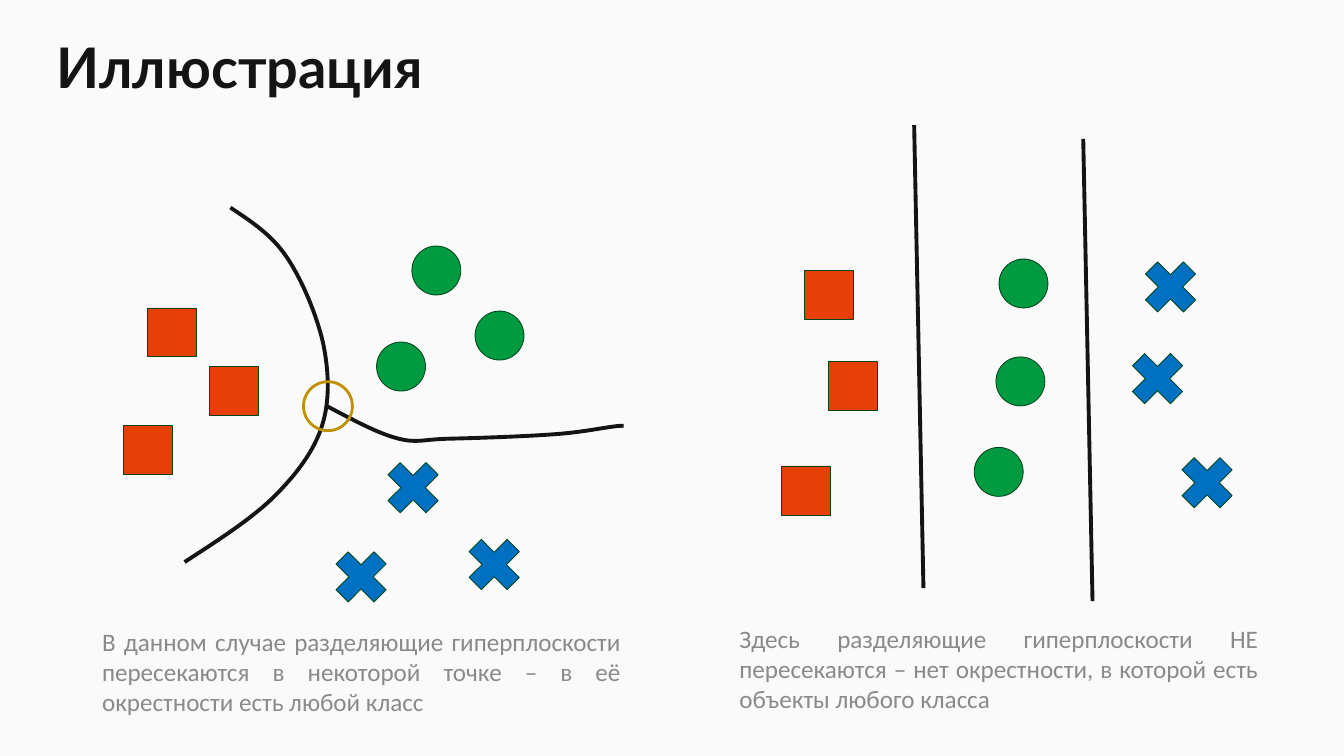
import pptx
import pptx.util
import pptx.dml.color
import pptx.enum.shapes
import pptx.enum.text
import pptx.oxml
import pptx.oxml.ns

RGB = pptx.dml.color.RGBColor
SHAPE = pptx.enum.shapes.MSO_SHAPE
ALIGN = pptx.enum.text.PP_ALIGN
ANCHOR = pptx.enum.text.MSO_ANCHOR

PAPER = RGB(0xFA, 0xFA, 0xFA)
INK = RGB(0x14, 0x14, 0x14)
GREY = RGB(0x8A, 0x8A, 0x8A)
RED = RGB(0xE6, 0x3F, 0x07)
GREEN = RGB(0x00, 0x9B, 0x40)
BLUE = RGB(0x00, 0x70, 0xC0)
OUTLINE = RGB(0x00, 0x44, 0x1C)
GOLD = RGB(0xBF, 0x90, 0x00)

EMU_PER_PX = 9144
SLIDE_WIDTH, SLIDE_HEIGHT = 2170, 1220
MARKER_SIZE, CROSS_SIZE = 79, 118
CAPTION_TOP, CAPTION_HEIGHT = 801, 158

LEFT_BOX = (155, 205, 857, 959)
LEFT_SQUARES = [(83, 292), (44, 481), (183, 387)]
LEFT_CIRCLES = [(510, 192), (612, 297), (453, 347)]
LEFT_CROSSES = [(453, 523), (584, 647), (369, 667)]
# Each curve is a start point, then two control points and an end per segment.
MAIN_BOUNDARY = [
    (217, 130),
    (250, 152), (283, 173), (308, 210),
    (333, 247), (357, 305), (367, 350),
    (376, 395), (378, 441), (365, 482),
    (352, 523), (324, 560), (287, 597),
    (250, 633), (197, 667), (143, 702),
]
SIDE_BOUNDARY = [
    (372, 450),
    (412, 471), (452, 493), (485, 502),
    (518, 511), (526, 504), (570, 503),
    (614, 502), (703, 499), (750, 495),
    (797, 491), (833, 482), (852, 482),
]
CROSSING = (335, 411)
LEFT_CAPTION = ("В данном случае разделяющие гиперплоскости пересекаются "
                "в некоторой точке – в её окрестности есть любой класс")

RIGHT_BOX = (1184, 200, 857, 959)
RIGHT_SQUARES = [(115, 236), (154, 384), (78, 552)]
RIGHT_CIRCLES = [(429, 218), (424, 376), (389, 522)]
RIGHT_CROSSES = [(647, 204), (626, 352), (706, 520)]
STRAIGHT_BOUNDARIES = [((292, 2), (307, 749)), ((565, 24), (580, 770))]
RIGHT_CAPTION = ("Здесь разделяющие гиперплоскости НЕ пересекаются – "
                 "нет окрестности, в которой есть объекты любого класса")


def px(*lengths):
    return [pptx.util.Emu(length * EMU_PER_PX) for length in lengths]


def shifted(points, box):
    return [(box[0] + x, box[1] + y) for x, y in points]


def write(frame, text, *, font, size, color, bold=False, align=None,
          line_spacing=None):
    frame.word_wrap = True
    paragraph = frame.paragraphs[0]
    paragraph.alignment = align
    if line_spacing:
        paragraph.line_spacing = pptx.util.Pt(line_spacing)
    run = paragraph.add_run()
    run.text = text
    run.font.name = font
    run.font.size = pptx.util.Pt(size)
    run.font.bold = bold
    run.font.color.rgb = color


def stroke(line, color, width):
    line.color.rgb = color
    line.width = pptx.util.Pt(width)


def add_marker(shapes, kind, position, size, fill=None, line=OUTLINE, width=1):
    marker = shapes.add_shape(kind, *px(*position, size, size))
    marker.shadow.inherit = False
    if fill is None:
        marker.fill.background()
    else:
        marker.fill.solid()
        marker.fill.fore_color.rgb = fill
    stroke(marker.line, line, width)


def add_classes(shapes, box, squares, circles, crosses):
    for kind, size, color, positions in (
            (SHAPE.RECTANGLE, MARKER_SIZE, RED, squares),
            (SHAPE.OVAL, MARKER_SIZE, GREEN, circles),
            (SHAPE.MATH_MULTIPLY, CROSS_SIZE, BLUE, crosses)):
        for position in shifted(positions, box):
            add_marker(shapes, kind, position, size, color)


def add_curve(shapes, points):
    """Draw an open outline and turn each three line segments into one Bézier."""
    builder = shapes.build_freeform(*points[0], scale=EMU_PER_PX)
    builder.add_line_segments(points[1:], close=False)
    curve = builder.convert_to_shape()
    curve.shadow.inherit = False
    curve.fill.background()
    stroke(curve.line, INK, 4.5)
    segments = list(curve._element.iter(pptx.oxml.ns.qn("a:lnTo")))
    outline = segments[0].getparent()
    for start in range(0, len(segments), 3):
        bezier = pptx.oxml.parse_xml(
            f"<a:cubicBezTo {pptx.oxml.ns.nsdecls('a')}/>")
        for segment in segments[start:start + 3]:
            bezier.append(segment[0])
            outline.remove(segment)
        outline.append(bezier)


def add_straight_boundary(shapes, start, end):
    boundary = shapes.add_connector(
        pptx.enum.shapes.MSO_CONNECTOR.STRAIGHT, *px(*start, *end))
    stroke(boundary.line, INK, 4.5)
    boundary._element.spPr.append(pptx.oxml.parse_xml(
        f"<a:effectLst {pptx.oxml.ns.nsdecls('a')}/>"))


def add_caption(slide, box, text):
    left, top, width, _ = box
    caption = slide.shapes.add_textbox(
        *px(left, top + CAPTION_TOP, width, CAPTION_HEIGHT))
    write(caption.text_frame, text, font="Calibri", size=29.2, color=GREY,
          align=ALIGN.JUSTIFY)


def add_title(slide, box, text):
    title = slide.shapes.title
    title.left, title.top, title.width, title.height = px(*box)
    frame = title.text_frame
    frame.margin_left = frame.margin_right = 0
    frame.margin_top = frame.margin_bottom = 0
    frame.vertical_anchor = ANCHOR.MIDDLE
    write(frame, text, font="Lato", size=65, color=INK, bold=True,
          align=ALIGN.LEFT, line_spacing=75)


def add_crossing_case(slide, box):
    diagram = slide.shapes.add_group_shape().shapes
    add_classes(diagram, box, LEFT_SQUARES, LEFT_CIRCLES, LEFT_CROSSES)
    for boundary in (MAIN_BOUNDARY, SIDE_BOUNDARY):
        add_curve(diagram, shifted(boundary, box))
    add_marker(diagram, SHAPE.OVAL, shifted([CROSSING], box)[0], MARKER_SIZE,
               line=GOLD, width=3.25)
    add_caption(slide, box, LEFT_CAPTION)


def add_separate_case(slide, box):
    add_classes(slide.shapes, box, RIGHT_SQUARES, RIGHT_CIRCLES, RIGHT_CROSSES)
    for boundary in STRAIGHT_BOUNDARIES:
        add_straight_boundary(slide.shapes, *shifted(boundary, box))
    add_caption(slide, box, RIGHT_CAPTION)


def main():
    deck = pptx.Presentation()
    deck.slide_width, deck.slide_height = px(SLIDE_WIDTH, SLIDE_HEIGHT)
    slide = deck.slides.add_slide(deck.slide_layouts.get_by_name("Title Only"))
    slide.background.fill.solid()
    slide.background.fill.fore_color.rgb = PAPER
    add_title(slide, (92, 44, 1986, 130), "Иллюстрация")
    add_crossing_case(slide, LEFT_BOX)
    add_separate_case(slide, RIGHT_BOX)
    deck.save("out.pptx")


if __name__ == "__main__":
    main()
